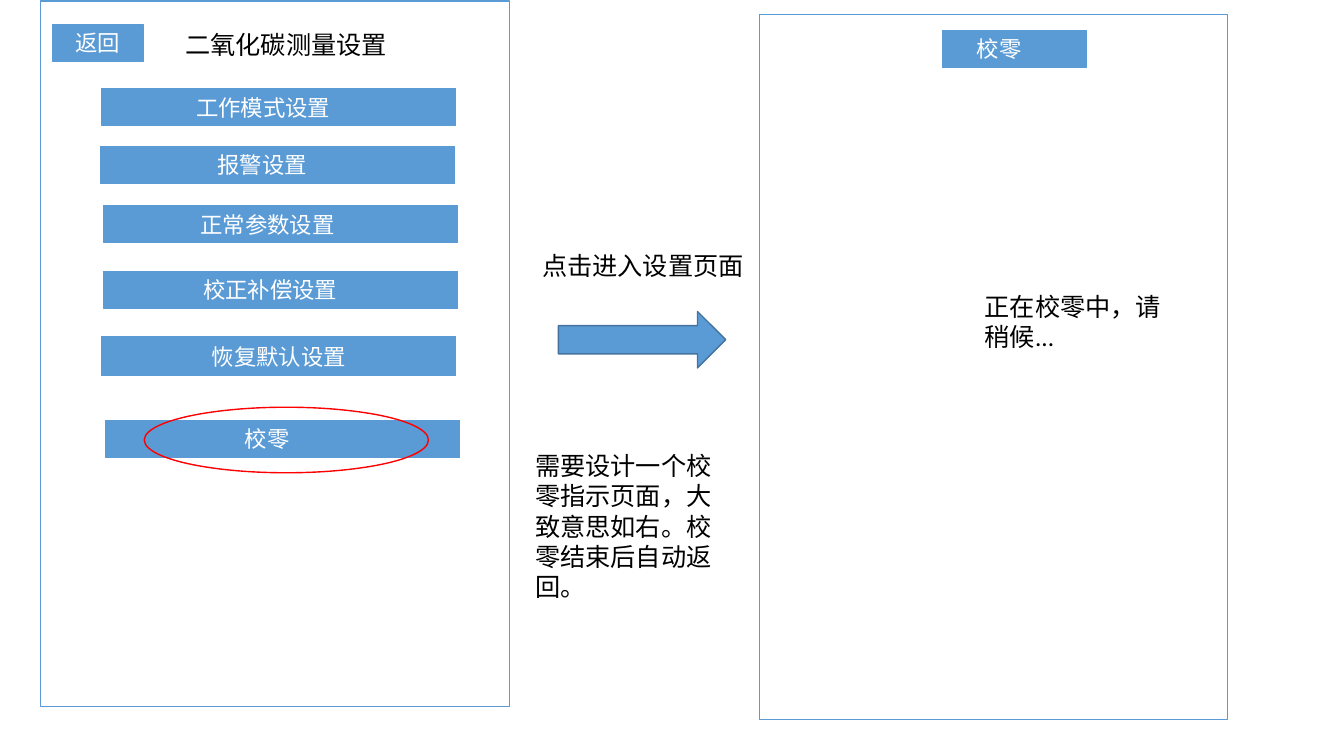
import dataclasses

import pptx
import pptx.dml.color
import pptx.enum.lang
import pptx.enum.shapes
import pptx.enum.text
import pptx.oxml.ns
import pptx.util
from lxml import etree

SHAPE = pptx.enum.shapes.MSO_SHAPE


@dataclasses.dataclass(frozen=True)
class Theme:
    blue: str = "5B9BD5"
    dark_blue: str = "43739E"
    red: str = "FF0000"
    black: str = "000000"
    white: str = "FFFFFF"
    latin: str = "Calibri"
    chinese: str = "Noto Sans CJK SC"
    body_size: int = 18
    button_size: int = 16
    thin: float = 0.75
    thick: float = 1


class Screen:
    """Places elements by (left, top, width, height) in percent of the slide."""

    def __init__(self, presentation, theme):
        self.theme = theme
        self.width = presentation.slide_width
        self.height = presentation.slide_height
        self.slide = presentation.slides.add_slide(presentation.slide_layouts[6])

    def place(self, box):
        left, top, width, height = box
        return (self.across(left), self.down(top),
                self.across(width), self.down(height))

    def across(self, percent):
        return round(self.width * percent / 100)

    def down(self, percent):
        return round(self.height * percent / 100)

    def colour(self, value):
        return pptx.dml.color.RGBColor.from_string(value)

    def outline(self, kind, box, line, weight, fill=None):
        shape = self.slide.shapes.add_shape(kind, *self.place(box))
        shape.shadow.inherit = False
        if fill:
            shape.fill.solid()
            shape.fill.fore_color.rgb = self.colour(fill)
        else:
            shape.fill.background()
        shape.line.color.rgb = self.colour(line)
        shape.line.width = pptx.util.Pt(weight)
        return shape

    def add_text(self, paragraph, text, size, colour, latin=None):
        run = paragraph.add_run()
        run.text = text
        font = run.font
        font.size = pptx.util.Pt(size)
        font.color.rgb = self.colour(colour)
        font.name = latin or self.theme.latin
        font.language_id = pptx.enum.lang.MSO_LANGUAGE_ID.SIMPLIFIED_CHINESE
        east_asian = etree.SubElement(
            run._r.get_or_add_rPr(), pptx.oxml.ns.qn("a:ea"))
        east_asian.set("typeface", self.theme.chinese)

    def frame(self, box):
        self.outline(SHAPE.RECTANGLE, box, self.theme.blue, self.theme.thin)

    def button(self, box, runs, shift=0):
        """Draw a button; shift moves its centred label to the left."""
        theme = self.theme
        shape = self.outline(SHAPE.RECTANGLE, box, theme.blue, theme.thin, theme.blue)
        text_frame = shape.text_frame
        text_frame.word_wrap = True
        text_frame.vertical_anchor = pptx.enum.text.MSO_ANCHOR.MIDDLE
        text_frame.margin_right += self.across(2 * shift)
        paragraph = text_frame.paragraphs[0]
        paragraph.alignment = pptx.enum.text.PP_ALIGN.CENTER
        for text, latin in runs:
            self.add_text(paragraph, text, theme.button_size, theme.white, latin)

    def label(self, box, text, wrap=True):
        shape = self.slide.shapes.add_textbox(*self.place(box))
        shape.text_frame.word_wrap = wrap
        self.add_text(shape.text_frame.paragraphs[0], text,
                      self.theme.body_size, self.theme.black)

    def arrow(self, box):
        self.outline(SHAPE.RIGHT_ARROW, box, self.theme.dark_blue,
                     self.theme.thick, self.theme.blue)

    def highlight(self, box):
        self.outline(SHAPE.OVAL, box, self.theme.red, self.theme.thick)


def main():
    presentation = pptx.Presentation()
    presentation.slide_width = pptx.util.Inches(13.33)
    presentation.slide_height = pptx.util.Inches(7.5)
    theme = Theme()
    screen = Screen(presentation, theme)

    frame_size = (34.88, 93.33)
    button_width, button_height = 26.33, 4.93

    screen.frame((3, 0.13, *frame_size))
    screen.label((13.05, 3.2, 21.15, 5.33), "二氧化碳测量设置")
    screen.button((3.9, 3.2, 6.75, button_height), [("返回", theme.latin)])

    menu = [
        (7.58, 11.73, button_height, 1.15, [("工作模式设置", theme.latin)]),
        (7.5, 19.33, button_height, 1.15, [("报警设置", theme.latin)]),
        (7.73, 27.2, button_height, 0.97, [("正常参数设置", theme.latin)]),
        (7.73, 35.87, button_height, 0.78, [("校正补偿设置", theme.latin)]),
        (7.58, 44.53, 5.2, 0, [("恢复默认", theme.chinese), ("设置", theme.latin)]),
        (7.88, 55.6, button_height, 1.15, [("校零", theme.latin)]),
    ]
    for left, top, height, shift, runs in menu:
        screen.button((left, top, button_width, height), runs, shift)
    screen.highlight((10.73, 53.87, 21.15, 8.67))

    screen.label((39.6, 32.4, 16.5, 5.33), "点击进入设置页面", wrap=False)
    screen.arrow((41.55, 41.2, 12.45, 7.47))
    screen.label((39.08, 58.93, 15.68, 25.33),
                 "需要设计一个校零指示页面，大致意思如右。校零结束后自动返回。")

    screen.frame((56.48, 1.87, *frame_size))
    screen.button((70.13, 4, 10.73, button_height), [("校零", theme.latin)], 1.15)
    screen.label((72.53, 37.87, 15.68, 9.33), "正在校零中，请稍候...")

    presentation.save("out.pptx")


if __name__ == "__main__":
    main()
